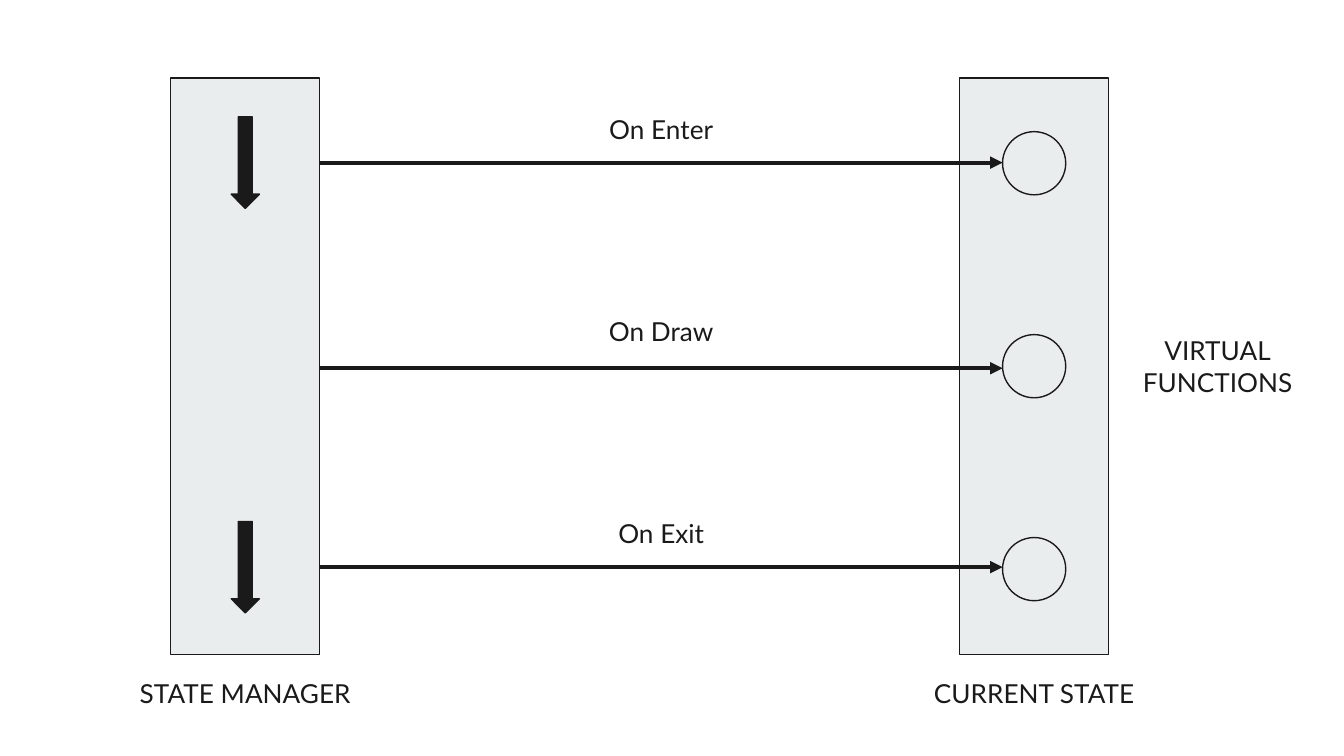
from lxml.etree import SubElement
from pptx import Presentation
from pptx.dml.color import RGBColor
from pptx.enum.shapes import MSO_CONNECTOR, MSO_SHAPE
from pptx.enum.text import MSO_ANCHOR, PP_ALIGN
from pptx.oxml.ns import qn
from pptx.util import Inches, Pt

CELL = 0.1  # side of a grid cell in inches
INK, PANEL = "1A1A1A", "E9EDEE"

# All values below count grid columns or rows.
MANAGER_CENTER, STATE_CENTER = 18.25, 76.95
PANEL_TOP, PANEL_WIDTH, PANEL_HEIGHT = 5.8, 11.1, 42.9
CIRCLE_SIZE = 4.7
CIRCLE_TOPS = [9.8 + 15.1 * step for step in range(3)]
CALLS = [("On Enter", 12.1), ("On Draw", 27.4), ("On Exit", 42.2)]
LABEL_TOPS = [7.42 + 15.05 * step for step in range(3)]
LABEL_WIDTH, LABEL_HEIGHT = 21.8, 4.7


def grid(cells):
    return Inches(cells * CELL)


def color(hex_code):
    return RGBColor.from_string(hex_code)


class Diagram:
    """Holds the style and the page; elements are placed by their horizontal center."""

    font_name, font_size = "Lato", 14
    outline_width, arrow_width = 0.75, 2.25

    def __init__(self, page):
        self.page = page

    def shape(self, kind, center, top, width, height, fill=PANEL):
        shape = self.page.shapes.add_shape(
            kind, grid(center - width / 2), grid(top), grid(width), grid(height))
        shape.shadow.inherit = False
        shape.fill.solid()
        shape.fill.fore_color.rgb = color(fill)
        shape.line.color.rgb = color(INK)
        shape.line.width = Pt(self.outline_width)

    def label(self, text, center, top, width=LABEL_WIDTH, anchor=MSO_ANCHOR.TOP):
        box = self.page.shapes.add_textbox(
            grid(center - width / 2), grid(top), grid(width), grid(LABEL_HEIGHT))
        frame = box.text_frame
        frame.word_wrap = True
        frame.vertical_anchor = anchor
        frame.margin_left = frame.margin_right = grid(1)
        frame.margin_top = frame.margin_bottom = grid(1)
        frame.text = text
        for paragraph in frame.paragraphs:
            paragraph.alignment = PP_ALIGN.CENTER
            for span in paragraph.runs:
                span.font.name = self.font_name
                span.font.size = Pt(self.font_size)
                span.font.color.rgb = color(INK)

    def arrow(self, start, end, row):
        connector = self.page.shapes.add_connector(
            MSO_CONNECTOR.STRAIGHT, grid(start), grid(row), grid(end), grid(row))
        connector.line.color.rgb = color(INK)
        connector.line.width = Pt(self.arrow_width)
        SubElement(connector.line._get_or_add_ln(), qn("a:tailEnd"), type="triangle")
        SubElement(connector._element.spPr, qn("a:effectLst"))


def main():
    deck = Presentation()
    deck.slide_width = Inches(10)
    deck.slide_height = deck.slide_width * 9 // 16
    diagram = Diagram(deck.slides.add_slide(deck.slide_layouts[6]))

    for name, center in [("STATE MANAGER", MANAGER_CENTER), ("CURRENT STATE", STATE_CENTER)]:
        diagram.shape(MSO_SHAPE.RECTANGLE, center, PANEL_TOP, PANEL_WIDTH, PANEL_HEIGHT)
        diagram.label(name, center, PANEL_TOP + PANEL_HEIGHT + 0.7)

    for top in CIRCLE_TOPS:
        diagram.shape(MSO_SHAPE.OVAL, STATE_CENTER, top, CIRCLE_SIZE, CIRCLE_SIZE)

    start = MANAGER_CENTER + PANEL_WIDTH / 2
    end = STATE_CENTER - CIRCLE_SIZE / 2
    for _, row in CALLS:
        diagram.arrow(start, end, row)

    diagram.label("VIRTUAL\nFUNCTIONS", 90.6, CIRCLE_TOPS[1], 16.2, MSO_ANCHOR.MIDDLE)

    for (name, _), top in zip(CALLS, LABEL_TOPS):
        diagram.label(name, (start + end) / 2, top)

    for top in (8.7, 38.8):
        diagram.shape(MSO_SHAPE.DOWN_ARROW, MANAGER_CENTER, top, 2.1, 6.8, INK)

    deck.save("out.pptx")


if __name__ == "__main__":
    main()
